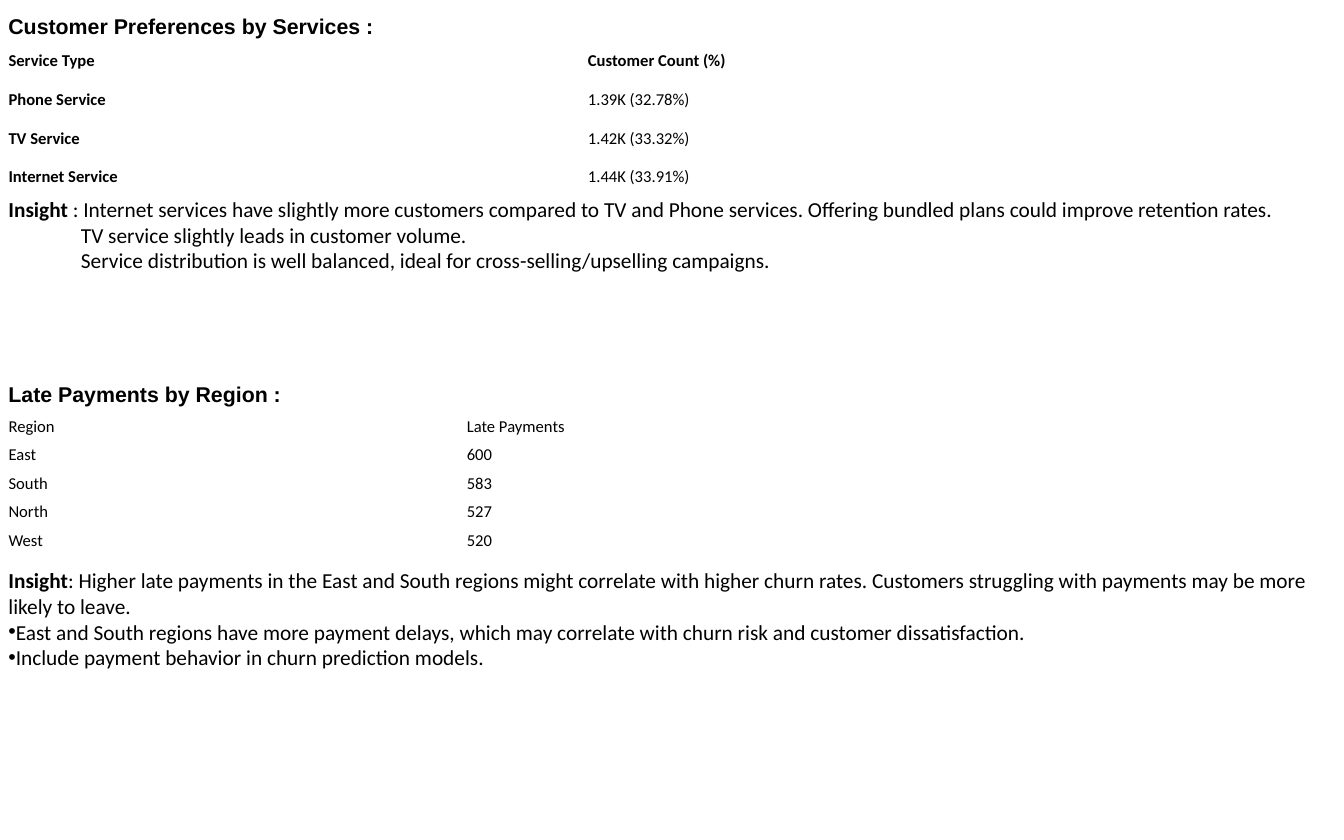
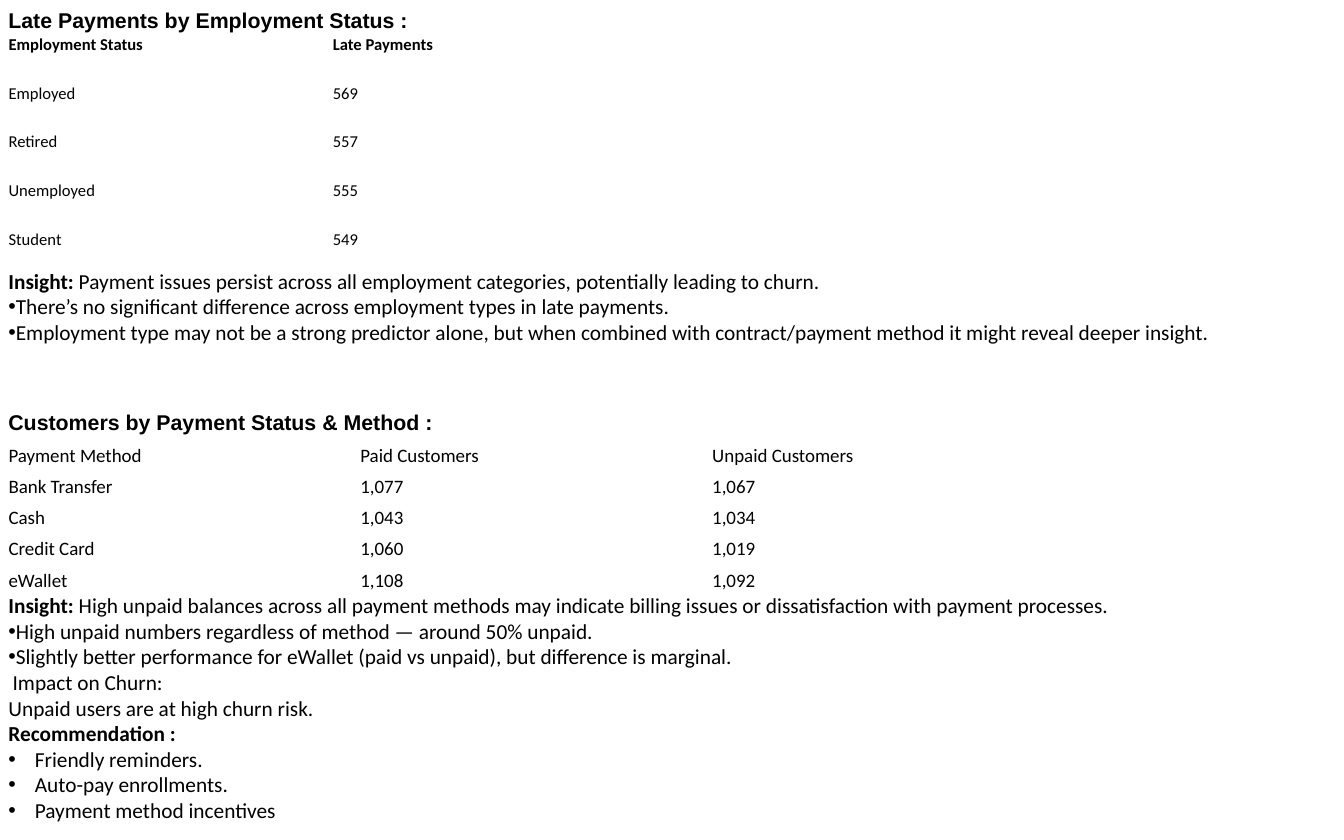
"""Build two slides of customer churn tables, each followed by its insight."""
import lxml.etree
import pptx
import pptx.dml.color
import pptx.enum.text
import pptx.oxml.ns
import pptx.util

BLACK = pptx.dml.color.RGBColor(0x00, 0x00, 0x00)
WHITE = pptx.dml.color.RGBColor(0xFF, 0xFF, 0xFF)
HEADING_FONT = "Arial"
BODY_FONT = "Calibri"
PLAIN, BULLET, HANGING, SPACED, INDENTED = "plain", "bullet", "hanging", "spaced", "indented"
INDENTS = {
    PLAIN: (0, 0),
    BULLET: (0, 0),
    HANGING: (0.31, -0.31),
    SPACED: (0.05, 0),
    INDENTED: (0.85, 0),
}


class Deck:
    """Hold the style and the current slide; lengths are percentages of the slide's size."""

    def __init__(self, width, height):
        self.presentation = pptx.Presentation()
        self.presentation.slide_width = pptx.util.Inches(width)
        self.presentation.slide_height = pptx.util.Inches(height)
        self.slide = None

    def across(self, share):
        return round(self.presentation.slide_width * share / 100)

    def down(self, share):
        return round(self.presentation.slide_height * share / 100)

    def add_slide(self):
        self.slide = self.presentation.slides.add_slide(self.presentation.slide_layouts[6])
        self.slide.background.fill.solid()
        self.slide.background.fill.fore_color.rgb = WHITE

    def add_run(self, paragraph, text, size, bold=False, font=BODY_FONT):
        run = paragraph.add_run()
        run.text = text
        run.font.name = font
        run.font.size = pptx.util.Pt(size)
        run.font.bold = bold
        run.font.color.rgb = BLACK

    def add_text_frame(self, top, width, height):
        shape = self.slide.shapes.add_textbox(
            0, self.down(top), self.across(width), self.down(height))
        shape.text_frame.word_wrap = True
        return shape.text_frame

    def add_heading(self, top, text, width):
        frame = self.add_text_frame(top, width, 4)
        self.add_run(frame.paragraphs[0], text, 18, True, HEADING_FONT)

    def add_table(self, top, column_width, row_height, rows, size=14,
                  bold_header=False, bold_labels=False):
        column_count = len(rows[0])
        table = self.slide.shapes.add_table(
            len(rows), column_count, 0, self.down(top),
            self.across(column_width * column_count),
            self.down(row_height * len(rows))).table
        table.first_row = False
        table.horz_banding = False
        for row_index, row in enumerate(rows):
            for column_index, text in enumerate(row):
                cell = table.cell(row_index, column_index)
                cell.fill.background()
                cell.vertical_anchor = pptx.enum.text.MSO_ANCHOR.MIDDLE
                bold = (bold_header and row_index == 0) or (bold_labels and column_index == 0)
                self.add_run(cell.text_frame.paragraphs[0], text, size, bold)

    def format_paragraph(self, paragraph, style):
        left, first = INDENTS[style]
        properties = paragraph._p.get_or_add_pPr()
        properties.set("marL", str(pptx.util.Inches(left)))
        properties.set("indent", str(pptx.util.Inches(first)))
        if style in (BULLET, HANGING):
            for tag, name, value in (("a:buFont", "typeface", "Arial"), ("a:buChar", "char", "•")):
                element = lxml.etree.SubElement(properties, pptx.oxml.ns.qn(tag))
                element.set(name, value)

    def add_insight(self, top, width, height, lead, text, lines):
        frame = self.add_text_frame(top, width, height)
        self.add_run(frame.paragraphs[0], lead, 18, True)
        self.add_run(frame.paragraphs[0], text, 18)
        for style, line, *bold in lines:
            paragraph = frame.add_paragraph()
            self.format_paragraph(paragraph, style)
            self.add_run(paragraph, line, 18, *bold)


def add_services_and_regions(deck):
    deck.add_slide()
    deck.add_table(4.98, 43.11, 4.6, [
        ("Service Type", "Customer Count (%)"),
        ("Phone Service", "1.39K (32.78%)"),
        ("TV Service", "1.42K (33.32%)"),
        ("Internet Service", "1.44K (33.91%)"),
    ], bold_header=True, bold_labels=True)
    deck.add_heading(1.12, "Customer Preferences by Services :", 30)
    deck.add_insight(
        22.87, 98.73, 16.46, "Insight",
        " : Internet services have slightly more customers compared to TV and Phone services. "
        "Offering bundled plans could improve retention rates.", [
            (INDENTED, "TV service slightly leads in customer volume."),
            (INDENTED, "Service distribution is well balanced, "
                       "ideal for cross-selling/upselling campaigns."),
        ])
    deck.add_table(49.09, 34.1, 3.39, [
        ("Region", "Late Payments"),
        ("East", "600"),
        ("South", "583"),
        ("North", "527"),
        ("West", "520"),
    ])
    deck.add_heading(44.92, "Late Payments by Region :", 23)
    deck.add_insight(
        67.07, 100, 19.5, "Insight",
        ": Higher late payments in the East and South regions might correlate with higher churn "
        "rates. Customers struggling with payments may be more likely to leave.", [
            (BULLET, "East and South regions have more payment delays, which may correlate "
                     "with churn risk and customer dissatisfaction."),
            (BULLET, "Include payment behavior in churn prediction models."),
        ])


def add_employment_and_methods(deck):
    deck.add_slide()
    deck.add_table(2.44, 24.13, 5.79, [
        ("Employment Status", "Late Payments"),
        ("Employed", "569"),
        ("Retired", "557"),
        ("Unemployed", "555"),
        ("Student", "549"),
    ], bold_header=True)
    deck.add_heading(0.41, "Late Payments by Employment Status :", 33)
    deck.add_insight(
        31.4, 97.5, 16.46, "Insight:",
        " Payment issues persist across all employment categories, potentially leading to churn.", [
            (BULLET, "There’s no significant difference across employment types in late payments."),
            (BULLET, "Employment type may not be a strong predictor alone, but when combined with "
                     "contract/payment method it might reveal deeper insight."),
        ])
    deck.add_table(52.34, 26.18, 3.72, [
        ("Payment Method", "Paid Customers", "Unpaid Customers"),
        ("Bank Transfer", "1,077", "1,067"),
        ("Cash", "1,043", "1,034"),
        ("Credit Card", "1,060", "1,019"),
        ("eWallet", "1,108", "1,092"),
    ], size=16)
    deck.add_heading(48.17, "Customers by Payment Status & Method :", 35)
    deck.add_insight(
        70.02, 96.2, 29.9, "Insight:",
        " High unpaid balances across all payment methods may indicate billing issues or "
        "dissatisfaction with payment processes.", [
            (BULLET, "High unpaid numbers regardless of method — around 50% unpaid."),
            (BULLET, "Slightly better performance for eWallet (paid vs unpaid), "
                     "but difference is marginal."),
            (SPACED, "Impact on Churn:"),
            (PLAIN, "Unpaid users are at high churn risk."),
            (PLAIN, "Recommendation :", True),
            (HANGING, "Friendly reminders."),
            (HANGING, "Auto-pay enrollments."),
            (HANGING, "Payment method incentives"),
        ])


def main():
    deck = Deck(15.75, 9.84)
    add_services_and_regions(deck)
    add_employment_and_methods(deck)
    deck.presentation.save("out.pptx")


if __name__ == "__main__":
    main()
